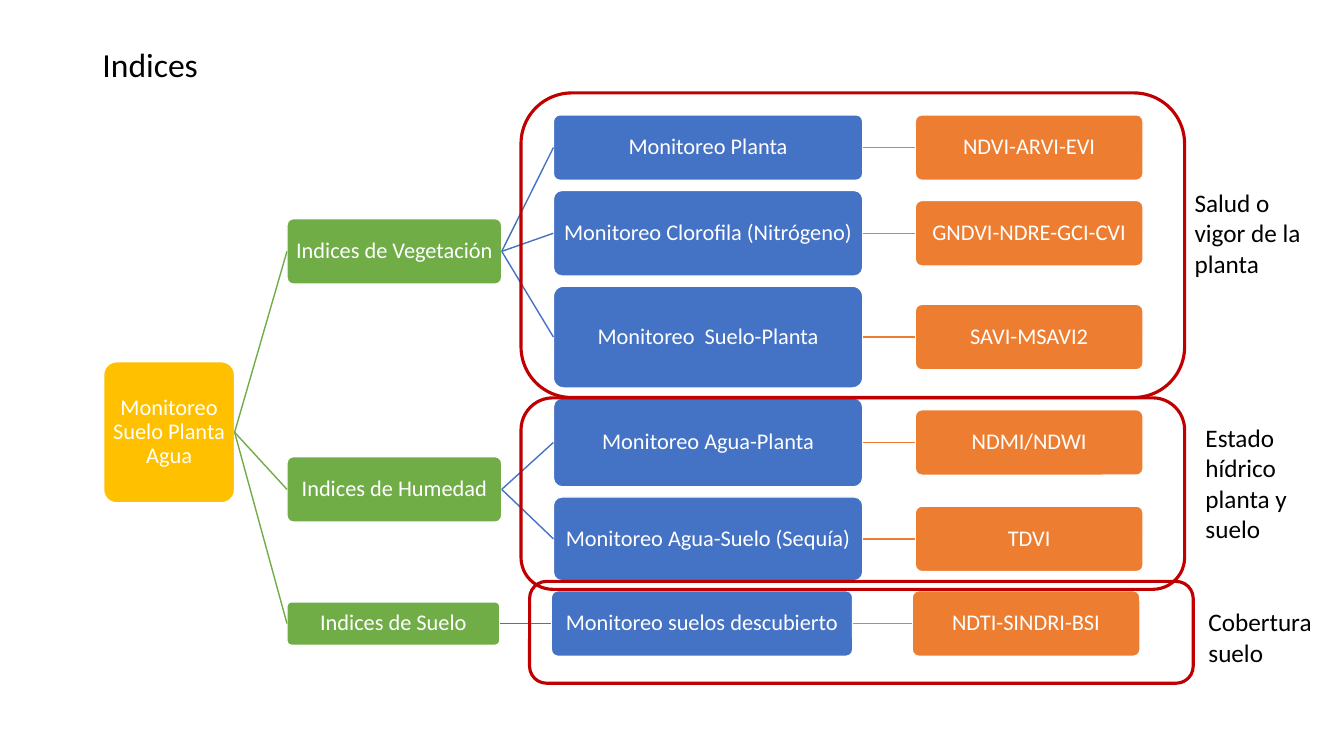
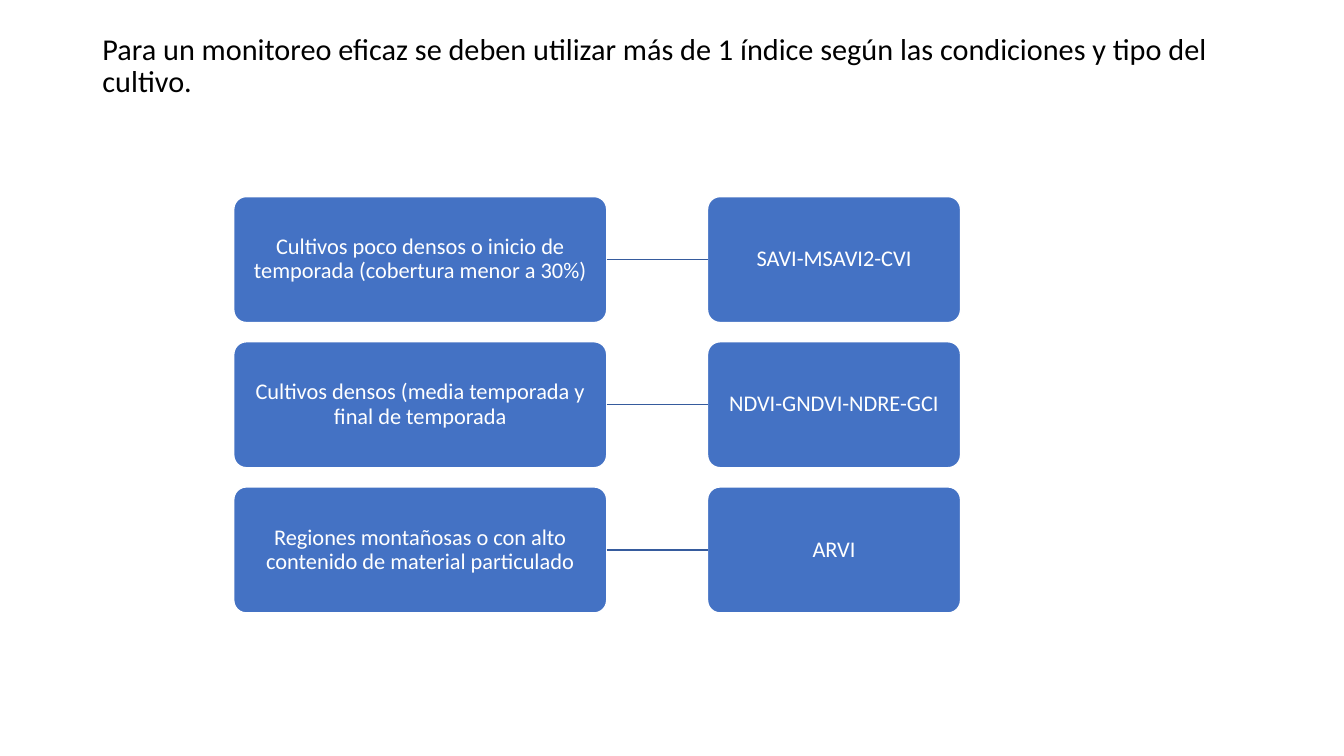
from lxml import etree
from pptx import Presentation
from pptx.dml.color import RGBColor
from pptx.enum.shapes import MSO_CONNECTOR, MSO_SHAPE
from pptx.enum.text import MSO_ANCHOR, MSO_AUTO_SIZE, PP_ALIGN
from pptx.oxml.ns import qn
from pptx.util import Pt

ROUND = MSO_SHAPE.ROUNDED_RECTANGLE
LINE = MSO_CONNECTOR.STRAIGHT
MIDDLE = MSO_ANCHOR.MIDDLE
FIXED = MSO_AUTO_SIZE.NONE
LEFT, CENTER = PP_ALIGN.LEFT, PP_ALIGN.CENTER
LEFT_SIDE, RIGHT_SIDE = 1, 3
FONT = "Calibri"
COLORS = {
    "root": "FFC000", "group": "70AD47", "task": "4472C4", "index": "ED7D31",
    "frame": "C00000", "link": "365B9D", "white": "FFFFFF", "black": "000000",
}
GAP = 7.2
BOX_H = 46.8
INDEX_W = 162.7

BRANCHES = [
    {"name": "Indices de Vegetación", "size": (153.4, BOX_H),
     "task": (321.3, 221), "index": 579.8,
     "rows": [("Monitoreo Planta", "NDVI-ARVI-EVI", BOX_H),
              ("Monitoreo Clorofila (Nitrógeno)", "GNDVI-NDRE-GCI-CVI", 61.2),
              ("Monitoreo  Suelo-Planta", "SAVI-MSAVI2", 72.7)]},
    {"name": "Indices de Humedad", "size": (153.4, BOX_H),
     "task": (321.3, 221), "index": 579.8,
     "rows": [("Monitoreo Agua-Planta", "NDMI/NDWI", 63.5),
              ("Monitoreo Agua-Suelo (Sequía)", "TDVI", 59.8)]},
    {"name": "Indices de Suelo", "size": (152, 31),
     "task": (319.8, 215.3), "index": 577.6,
     "rows": [("Monitoreo suelos descubierto", "NDTI-SINDRI-BSI", BOX_H)]},
]
NOTES = [
    ("Salud o vigor de la planta", (372.2, 66.4, 474, 217.6), (474, 64)),
    ("Estado hídrico planta y suelo", (372.2, 284.2, 474, 136.8), (481.8, 14)),
    ("Cobertura suelo", (378.3, 415.3, 474, 72.7), (477.8, 14.5)),
]
CASES = [
    ("Cultivos poco densos o inicio de temporada (cobertura menor a 30%)",
     "SAVI-MSAVI2-CVI"),
    ("Cultivos densos (media temporada y final de temporada",
     "NDVI-GNDVI-NDRE-GCI"),
    ("Regiones montañosas o con alto contenido de material particulado",
     "ARVI"),
]


def rgb(name):
    return RGBColor.from_string(COLORS[name])


def write(shape, text, size, color, align, space=1):
    frame = shape.text_frame
    frame.text = text
    frame.word_wrap = True
    para = frame.paragraphs[0]
    para.alignment = align
    para.line_spacing = space
    font = para.runs[0].font
    font.name, font.size = FONT, Pt(size)
    font.color.rgb = rgb(color)
    return frame


def head(deck, text, size):
    slide = deck.slides.add_slide(deck.slide_layouts[5])
    title = slide.shapes.title
    title.left, title.top = Pt(66), Pt(29)
    title.width, title.height = Pt(828), Pt(37.4)
    frame = write(title, text, size, "black", LEFT, 0.9)
    frame.vertical_anchor = MIDDLE
    frame.auto_size = FIXED
    return slide


def panel(slide, box, edge, width):
    shape = slide.shapes.add_shape(ROUND, *map(Pt, box))
    shape.shadow.inherit = False
    shape.line.color.rgb = rgb(edge)
    shape.line.width = Pt(width)
    return shape


def node(slide, text, box, color):
    shape = panel(slide, box, "white", 1)
    shape.adjustments[0] = 0.1
    shape.fill.solid()
    shape.fill.fore_color.rgb = rgb(color)
    frame = write(shape, text, 16, "white", CENTER, 0.9)
    frame.vertical_anchor = MIDDLE
    frame.margin_left = frame.margin_right = Pt(3)
    frame.margin_top = frame.margin_bottom = Pt(3)
    return shape


def link(slide, start, end, color):
    line = slide.shapes.add_connector(LINE, 0, 0, 0, 0)
    line.begin_connect(start, RIGHT_SIDE)
    line.end_connect(end, LEFT_SIDE)
    line.line.color.rgb = rgb(color)
    line.line.width = Pt(1)
    etree.SubElement(line._element.spPr, qn("a:effectLst"))


def branch(slide, root, data, x, y):
    rows = data["rows"]
    span = sum(row[2] for row in rows) + GAP * (len(rows) - 1)
    wide, high = data["size"]
    group = node(slide, data["name"],
                 (x + 131, y + (span - high) / 2, wide, high), "group")
    link(slide, root, group, "group")
    left, width = data["task"]
    for name, index, tall in rows:
        task = node(slide, name, (x + left, y, width, tall), "task")
        leaf = node(slide, index, (x + data["index"], y + (tall - BOX_H) / 2,
                                   INDEX_W, BOX_H), "index")
        link(slide, group, task, "task")
        link(slide, task, leaf, "index")
        y += tall + GAP
    return y


def tree(slide, x, y):
    root = node(slide, "Monitoreo Suelo Planta Agua",
                (x, y + 176.4, 93.6, 100.8), "root")
    for data in BRANCHES:
        y = branch(slide, root, data, x, y)


def note(slide, text, box, shift):
    panel(slide, box, "frame", 2.25).fill.background()
    x, y = box[0] + shift[0], box[1] + shift[1]
    label = slide.shapes.add_textbox(Pt(x), Pt(y), Pt(95.8), Pt(50))
    write(label, text, 18, "black", LEFT)


def cases(slide, x, y):
    for row, (text, index) in enumerate(CASES):
        top = y + row * 103.7
        case = node(slide, text, (x, top, 266.4, 90), "task")
        leaf = node(slide, index, (x + 338.4, top, 180.7, 90), "task")
        link(slide, case, leaf, "link")


def main():
    deck = Presentation()
    deck.slide_width, deck.slide_height = Pt(960), Pt(540)
    slide = head(deck, "Indices", 24)
    tree(slide, 74, 82)
    for text, box, shift in NOTES:
        note(slide, text, box, shift)
    slide = head(deck, "Para un monitoreo eficaz se deben utilizar más de 1 índice "
                 "según las condiciones y tipo del cultivo.", 21.6)
    cases(slide, 167, 140.4)
    deck.save("out.pptx")


if __name__ == "__main__":
    main()
